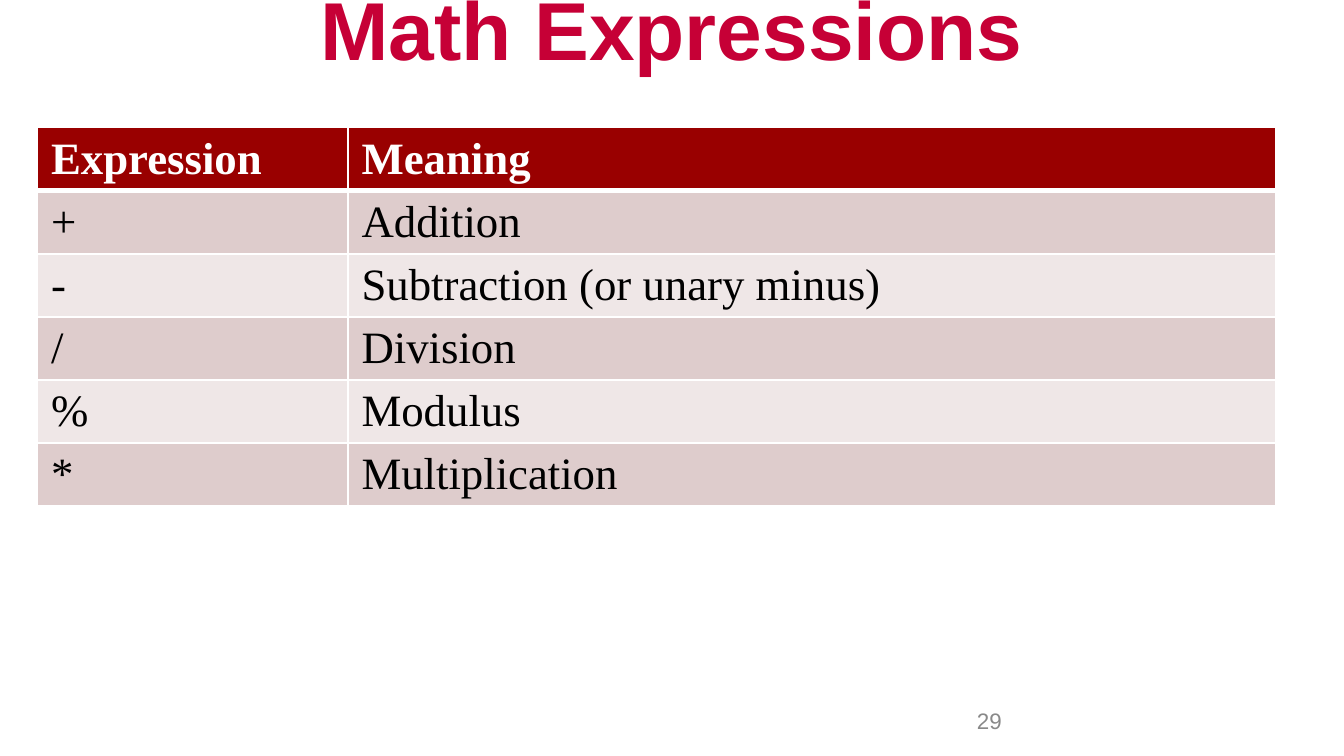
import dataclasses

import pptx
import pptx.dml.color
import pptx.enum.text
import pptx.oxml
import pptx.oxml.ns
import pptx.util

WIDTH = 10
HEIGHT = WIDTH * 9 / 16
TITLE_ONLY = 5

OPERATORS = [
    ("Expression", "Meaning"),
    ("+", "Addition"),
    ("-", "Subtraction (or unary minus)"),
    ("/", "Division"),
    ("%", "Modulus"),
    ("*", "Multiplication"),
]


@dataclasses.dataclass(frozen=True)
class Theme:
    title_font: str = "Arial"
    table_font: str = "Times New Roman"
    title_size: int = 44
    table_size: int = 24
    number_size: int = 12
    title: str = "C60036"
    number: str = "898989"
    header: str = "990000"
    bands: tuple = ("DECCCC", "EFE7E7")
    white: str = "FFFFFF"
    black: str = "000000"


def rgb(color):
    return pptx.dml.color.RGBColor.from_string(color)


class SlideBuilder:
    """Places elements by shares of the slide's width and height."""

    def __init__(self, prs, theme):
        self.prs = prs
        self.theme = theme
        self.slide = prs.slides.add_slide(prs.slide_layouts[TITLE_ONLY])

    def box(self, left, top, width, height):
        w, h = self.prs.slide_width, self.prs.slide_height
        return [round(share * side) for share, side in
                zip((left, top, width, height), (w, h, w, h))]

    def run(self, p, text, font, size, color, bold=False):
        r = p.add_run()
        r.text = text
        r.font.name = font
        r.font.size = pptx.util.Pt(size)
        r.font.bold = bold
        r.font.color.rgb = rgb(color)

    def title(self, text, *place):
        sp = self.slide.shapes.title
        sp.left, sp.top, sp.width, sp.height = self.box(*place)
        tf = sp.text_frame
        tf.auto_size = pptx.enum.text.MSO_AUTO_SIZE.NONE
        tf.vertical_anchor = pptx.enum.text.MSO_ANCHOR.MIDDLE
        p = tf.paragraphs[0]
        p.alignment = pptx.enum.text.PP_ALIGN.CENTER
        p.font.size = pptx.util.Pt(self.theme.title_size)
        self.run(p, text, self.theme.title_font, self.theme.title_size,
                 self.theme.title, bold=True)
        # The title is two lines tall, with its second line open.
        p.add_line_break()

    def page_number(self, text, *place):
        tf = self.slide.shapes.add_textbox(*self.box(*place)).text_frame
        tf.word_wrap = True
        tf.vertical_anchor = pptx.enum.text.MSO_ANCHOR.MIDDLE
        self.run(tf.paragraphs[0], text, self.theme.title_font,
                 self.theme.number_size, self.theme.number)

    def borders(self, cell, **points):
        """Draw white cell edges; points maps L, R, T, B to line widths."""
        tc_pr = cell._tc.get_or_add_tcPr()
        for i, (side, width) in enumerate(points.items()):
            tc_pr.insert(i, pptx.oxml.parse_xml(
                f'<a:ln{side} {pptx.oxml.ns.nsdecls("a")} w="{pptx.util.Pt(width)}">'
                f'<a:solidFill><a:srgbClr val="{self.theme.white}"/></a:solidFill>'
                f'</a:ln{side}>'))

    def table(self, rows, column_shares, row_share, *place):
        theme = self.theme
        left, top, width, height = self.box(*place)
        frame = self.slide.shapes.add_table(
            len(rows), len(column_shares), left, top, width, height)
        table = frame.table
        for column, share in zip(table.columns, column_shares):
            column.width = round(self.prs.slide_width * share)
        for i, texts in enumerate(rows):
            table.rows[i].height = round(self.prs.slide_height * row_share)
            header = i == 0
            fill = theme.header if header else theme.bands[(i - 1) % 2]
            for j, text in enumerate(texts):
                cell = table.cell(i, j)
                cell.fill.solid()
                cell.fill.fore_color.rgb = rgb(fill)
                self.borders(cell, L=1, R=1, T=3 if i == 1 else 1,
                             B=3 if header else 1)
                self.run(cell.text_frame.paragraphs[0], text, theme.table_font,
                         theme.table_size,
                         theme.white if header else theme.black, bold=header)
        frame.height = height


def main():
    prs = pptx.Presentation()
    prs.slide_width = pptx.util.Inches(WIDTH)
    prs.slide_height = pptx.util.Inches(HEIGHT)

    s = SlideBuilder(prs, Theme())
    s.title("Math Expressions", 0, 0.2 / HEIGHT, 1, 0.75 / HEIGHT)
    s.table(OPERATORS, (2.31 / WIDTH, 6.9 / WIDTH), 0.38 / HEIGHT,
            0.28 / WIDTH, 0.95 / HEIGHT, 9.21 / WIDTH, 3 / HEIGHT)
    s.page_number("29", 7.17 / WIDTH, 5.21 / HEIGHT, 2.33 / WIDTH, 0.3 / HEIGHT)

    prs.save("out.pptx")


if __name__ == "__main__":
    main()
